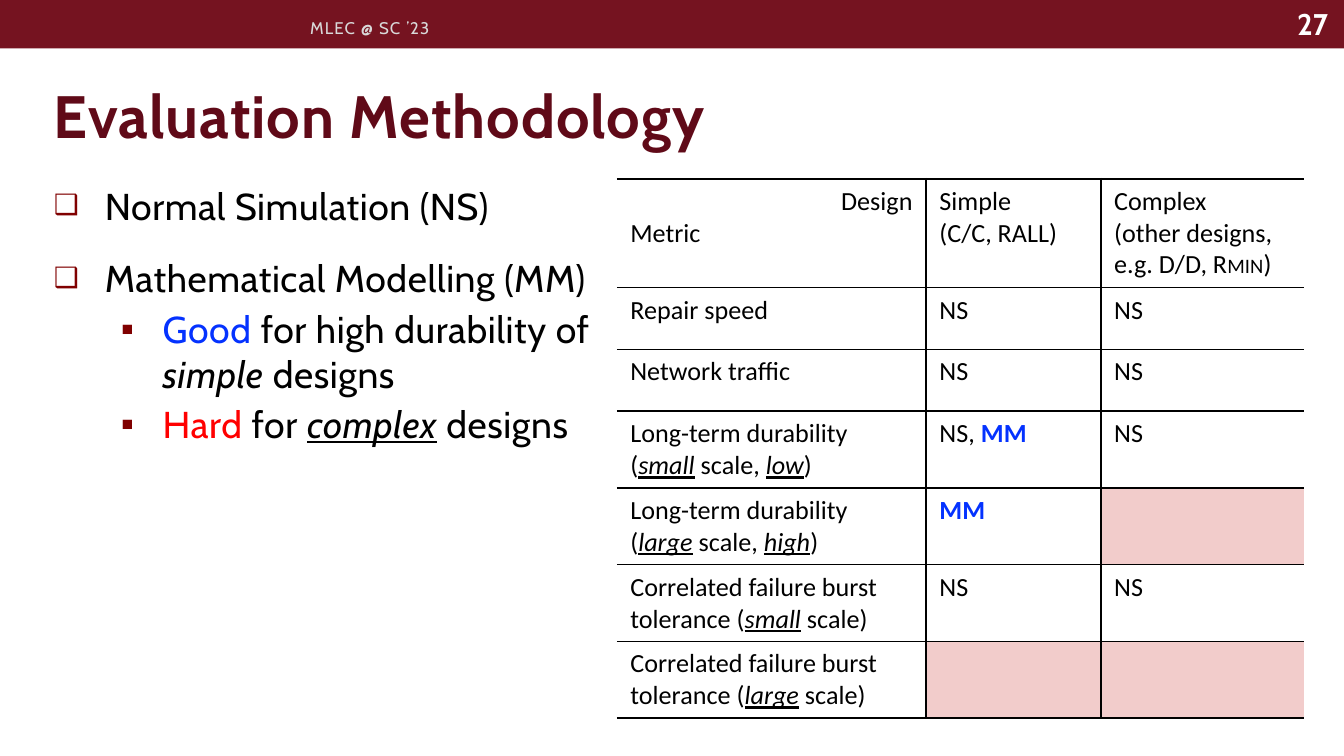
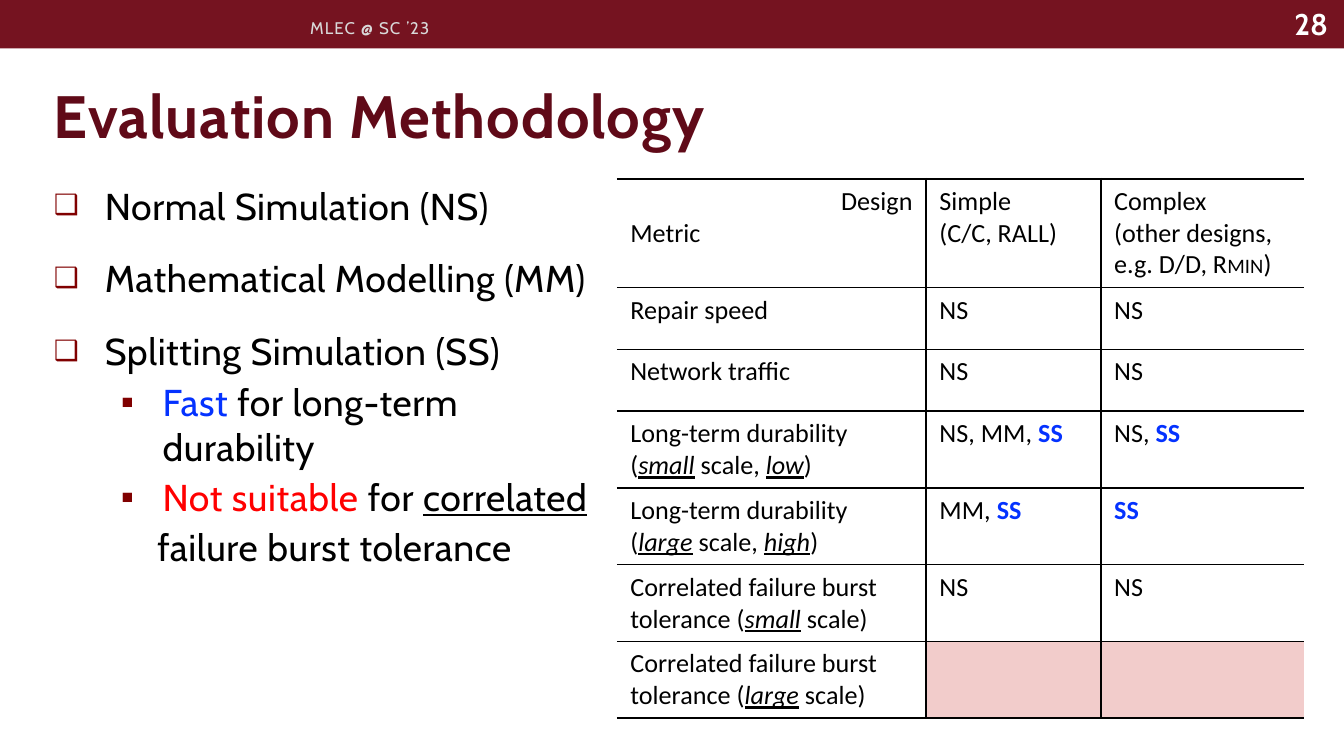
import pptx
import pptx.dml.color
import pptx.enum.shapes
import pptx.enum.text
import pptx.oxml
import pptx.oxml.ns
import pptx.util

SLIDE_WIDTH = pptx.util.Inches(10)
SLIDE_HEIGHT = pptx.util.Inches(5.625)

# Shared look
BAND, TITLE, BULLET = "751320", "600A18", "800000"
BLACK, WHITE, GREY = "000000", "FFFFFF", "D9D9D9"
BLUE, RED, PINK = "0432FF", "FF0000", "F2CCCB"
HEADING_FONT, TABLE_FONT = "Cabin", "Calibri"
LEFT, RIGHT = pptx.enum.text.PP_ALIGN.LEFT, pptx.enum.text.PP_ALIGN.RIGHT
MIDDLE, BOTTOM = pptx.enum.text.MSO_ANCHOR.MIDDLE, pptx.enum.text.MSO_ANCHOR.BOTTOM

# Table grid, in percent of the slide's width and height
COLUMNS = [23, 13, 15.1]
ROWS = [14.4] + [8.18] * 2 + [10.15] * 4


def color(hex_string):
    return pptx.dml.color.RGBColor.from_string(hex_string)


def across(percent):
    return round(SLIDE_WIDTH * percent / 100)


def down(percent):
    return round(SLIDE_HEIGHT * percent / 100)


def box(left, top, width, height):
    return across(left), down(top), across(width), down(height)


def place(shape, left, top, width, height):
    shape.left, shape.top, shape.width, shape.height = box(left, top, width, height)


def append_xml(parent, xml):
    declaration = pptx.oxml.ns.nsdecls("a")
    parent.append(pptx.oxml.parse_xml(xml.replace("/>", f" {declaration}/>", 1)
                                      if xml.endswith("/>") and xml.count("<") == 1
                                      else xml.replace(">", f" {declaration}>", 1)))


# Runs: plain strings, or (text, changes) pairs
def blue(text, bold=False):
    return text, {"color": BLUE, "bold": bold}


def red(text):
    return text, {"color": RED}


def stress(text):
    return text, {"italic": True, "underline": True}


def write(paragraph, runs, font_name, size, text_color, bold=False, spacing=0, align=LEFT):
    paragraph.alignment = align
    font = paragraph.font
    font.name, font.size, font.bold = font_name, pptx.util.Pt(size), bold
    font.color.rgb = color(text_color)
    if spacing:
        paragraph._p.get_or_add_pPr().get_or_add_defRPr().set("spc", str(spacing))
    for item in runs:
        if item == "\n":
            paragraph.add_line_break()
            continue
        text, changes = (item, {}) if isinstance(item, str) else item
        run = paragraph.add_run()
        run.text = text
        for name, value in changes.items():
            if name == "color":
                run.font.color.rgb = color(value)
            else:
                setattr(run.font, name, value)


def paragraphs_of(frame, count):
    return [frame.paragraphs[0]] + [frame.add_paragraph() for _ in range(count - 1)]


# Header band, its label and the slide number
def add_label(slide, area, text, *style, **options):
    frame = slide.shapes.add_textbox(*box(*area)).text_frame
    frame.word_wrap = True
    frame.vertical_anchor = MIDDLE
    write(frame.paragraphs[0], [text], HEADING_FONT, *style, **options)


def add_header(slide, number):
    band = slide.shapes.add_shape(pptx.enum.shapes.MSO_SHAPE.RECTANGLE, *box(0, 0, 100, 6.4))
    band.shadow.inherit = False
    band.fill.solid()
    band.fill.fore_color.rgb = color(BAND)
    band.line.fill.background()
    add_label(slide, (91, -0.18, 8.8, 6.58), str(number), 16, WHITE, bold=True, align=RIGHT)
    add_label(slide, (22.1, 1.07, 35.6, 5.16), "MLEC @ SC ’23", 9, GREY, spacing=60)


def set_title(slide, text):
    title = slide.shapes.title
    place(title, 3, 4.09, 94.3, 16.71)
    title.text_frame.vertical_anchor = BOTTOM
    title.text_frame.auto_size = pptx.enum.text.MSO_AUTO_SIZE.NONE
    write(title.text_frame.paragraphs[0], [text], HEADING_FONT, 32, TITLE, bold=True, spacing=50)


# Bulleted list: kind -> level, margin, hanging indent, space before, bullet, bullet size
LIST_KINDS = {
    "item": (0, 0.38, -0.38, 15, "❑", 75),
    "detail": (1, 0.81, -0.31, 3, "▪", 100),
    "continuation": (1, 0.77, 0, 3, None, 100),
}


def format_list_paragraph(paragraph, kind):
    level, margin, indent, space, bullet, bullet_size = LIST_KINDS[kind]
    paragraph.level = level
    paragraph.space_before = pptx.util.Pt(space)
    properties = paragraph._p.get_or_add_pPr()
    properties.set("marL", str(pptx.util.Inches(margin)))
    properties.set("indent", str(pptx.util.Inches(indent)))
    if bullet:
        append_xml(properties, f'<a:buClr><a:srgbClr val="{BULLET}"/></a:buClr>')
        append_xml(properties, f'<a:buSzPct val="{bullet_size * 1000}"/>')
        append_xml(properties, f'<a:buChar char="{bullet}"/>')
    else:
        append_xml(properties, "<a:buNone/>")


def set_list(slide, entries):
    body = slide.placeholders[1]
    place(body, 3, 23.29, 43.9, 74.67)
    frame = body.text_frame
    frame.auto_size = pptx.enum.text.MSO_AUTO_SIZE.NONE
    for paragraph, (kind, *runs) in zip(paragraphs_of(frame, len(entries)), entries):
        format_list_paragraph(paragraph, kind)
        write(paragraph, runs, HEADING_FONT, 20, BLACK, spacing=30)


# Table: a cell is a list of paragraphs, each a list of runs; None is a shaded cell
def set_borders(cell, column):
    properties = cell._tc.get_or_add_tcPr()
    drawn = {"L": column > 0, "R": column < len(COLUMNS) - 1, "T": True, "B": True}
    for position, (side, visible) in enumerate(drawn.items()):
        paint = f'<a:solidFill><a:srgbClr val="{BLACK}"/></a:solidFill>' if visible else "<a:noFill/>"
        line = pptx.oxml.parse_xml(f'<a:ln{side} {pptx.oxml.ns.nsdecls("a")} w="12700">{paint}</a:ln{side}>')
        properties.insert(position, line)


def fill_cell(cell, content, row, column):
    if content is None:
        cell.fill.solid()
        cell.fill.fore_color.rgb = color(PINK)
    else:
        cell.fill.background()
        for index, (paragraph, runs) in enumerate(
                zip(paragraphs_of(cell.text_frame, len(content)), content)):
            is_corner = row == column == index == 0
            write(paragraph, runs, TABLE_FONT, 14, BLACK, align=RIGHT if is_corner else LEFT)
    set_borders(cell, column)


def add_methods_table(slide, methods):
    def durability(scale, level):
        return [["Long-term durability"], ["(", stress(scale), " scale, ", stress(level), ")"]]

    def tolerance(scale):
        return [["Correlated failure burst tolerance (", stress(scale), " scale)"]]

    header = [
        [["Design"], ["Metric"]],
        [["Simple"], ["(C/C, RALL)"]],
        [["Complex", "\n", "(other designs,"],
         ["e.g. D/D, R", ("MIN", {"size": pptx.util.Pt(11)}), ")"]],
    ]
    metrics = [[["Repair speed"]], [["Network traffic"]],
               durability("small", "low"), durability("large", "high"),
               tolerance("small"), tolerance("large")]
    rows = [header] + [[metric] + [runs and [runs] for runs in pair]
                       for metric, pair in zip(metrics, methods)]

    area = box(45.9, 23.64, sum(COLUMNS), sum(ROWS))
    table = slide.shapes.add_table(len(ROWS), len(COLUMNS), *area).table
    table.first_row = table.horz_banding = False
    for column, width in zip(table.columns, COLUMNS):
        column.width = across(width)
    for row, height in zip(table.rows, ROWS):
        row.height = down(height)
    for row_index, contents in enumerate(rows):
        for column_index, content in enumerate(contents):
            fill_cell(table.cell(row_index, column_index), content, row_index, column_index)


def add_methodology_slide(presentation, number, entries, durability_methods):
    slide = presentation.slides.add_slide(presentation.slide_layouts[1])
    add_header(slide, number)
    set_title(slide, "Evaluation Methodology")
    set_list(slide, entries)
    simulated = (["NS"], ["NS"])
    add_methods_table(slide, [simulated, simulated, *durability_methods, simulated, (None, None)])


def main():
    presentation = pptx.Presentation()
    presentation.slide_width, presentation.slide_height = SLIDE_WIDTH, SLIDE_HEIGHT
    basic_methods = [("item", "Normal Simulation (NS)"), ("item", "Mathematical Modelling (MM)")]

    # Mathematical modelling
    modelling = blue("MM", bold=True)
    add_methodology_slide(presentation, 27, basic_methods + [
        ("detail", blue("Good"), " for high durability of ", ("simple", {"italic": True}), " designs"),
        ("detail", red("Hard"), " for ", stress("complex"), " designs"),
    ], [(["NS, ", modelling], ["NS"]), ([modelling], None)])

    # Splitting simulation
    splitting = blue("SS", bold=True)
    add_methodology_slide(presentation, 28, basic_methods + [
        ("item", "Splitting Simulation (SS)"),
        ("detail", blue("Fast"), " for long-term durability"),
        ("detail", red("Not suitable "), "for ", ("correlated", {"underline": True})),
        ("continuation", "failure burst tolerance"),
    ], [(["NS, MM, ", splitting], ["NS, ", splitting]), (["MM, ", splitting], [splitting])])

    presentation.save("out.pptx")


if __name__ == "__main__":
    main()
